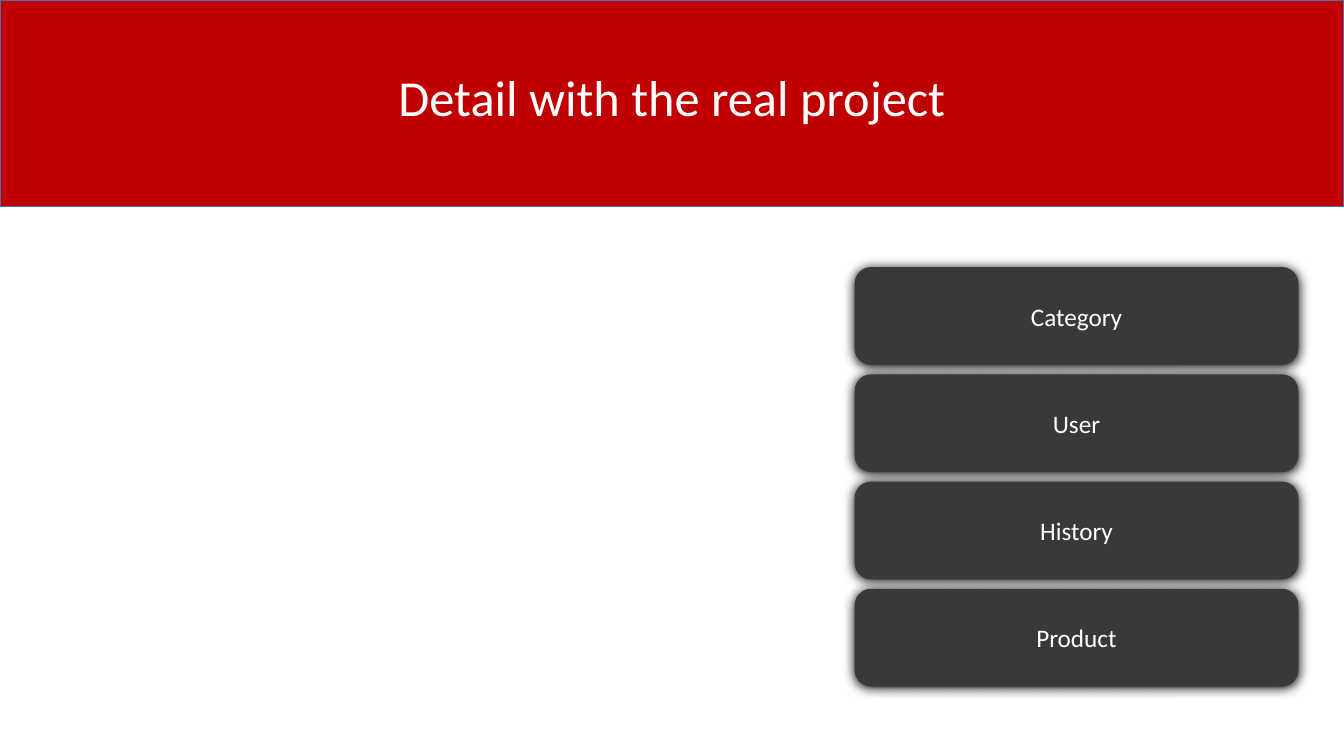
from dataclasses import dataclass

from lxml.etree import SubElement
from pptx import Presentation
from pptx.dml.color import RGBColor
from pptx.enum.shapes import MSO_SHAPE
from pptx.enum.text import MSO_ANCHOR, MSO_AUTO_SIZE, PP_ALIGN
from pptx.oxml.ns import qn
from pptx.util import Cm, Pt


@dataclass(frozen=True)
class Theme:
    font: str = "Calibri"
    band: str = "C00000"
    band_line: str = "43739E"
    button: str = "3B3838"
    shadow: str = "000000"
    text: str = "FFFFFF"
    title_size: int = 36
    button_size: int = 18


@dataclass(frozen=True)
class Box:
    """Region of the slide, in centimetres."""
    left: float
    top: float
    width: float
    height: float

    def lengths(self):
        return Cm(self.left), Cm(self.top), Cm(self.width), Cm(self.height)


THEME = Theme()
TITLE_ONLY_LAYOUT = 5


def write_text(shape, text, *, size, color=THEME.text, wrap=True):
    frame = shape.text_frame
    frame.auto_size = MSO_AUTO_SIZE.NONE
    frame.word_wrap = wrap
    frame.vertical_anchor = MSO_ANCHOR.MIDDLE
    paragraph = frame.paragraphs[0]
    paragraph.alignment = PP_ALIGN.CENTER
    run = paragraph.add_run()
    run.text = text
    run.font.name = THEME.font
    run.font.size = Pt(size)
    run.font.color.rgb = RGBColor.from_string(color)


def add_filled_shape(slide, kind, box, fill, line=None):
    shape = slide.shapes.add_shape(kind, *box.lengths())
    shape.shadow.inherit = False
    shape.fill.solid()
    shape.fill.fore_color.rgb = RGBColor.from_string(fill)
    if line:
        shape.line.color.rgb = RGBColor.from_string(line)
        shape.line.width = Pt(1)
    else:
        shape.line.fill.background()
    return shape


def add_soft_shadow(shape):
    effects = shape.element.spPr.find(qn("a:effectLst"))
    shadow = SubElement(effects, qn("a:outerShdw"), blurRad=str(Pt(8.5)),
                        dist=str(Pt(1)), dir="5400000", rotWithShape="0")
    SubElement(shadow, qn("a:srgbClr"), val=THEME.shadow)


def add_title_band(slide, box, text):
    add_filled_shape(slide, MSO_SHAPE.RECTANGLE, box, THEME.band, THEME.band_line)
    # Title, brought in front of the band and centred across it
    title = slide.shapes.title
    slide.shapes.element.append(title.element)
    width, height = 14.4, 1.8
    title_box = Box(box.left + (box.width - width) / 2, box.top + 1.53, width, height)
    title.left, title.top, title.width, title.height = title_box.lengths()
    write_text(title, text, size=THEME.title_size, wrap=False)


def add_button_column(slide, box, labels, gap=0.24):
    height = (box.height - gap * (len(labels) - 1)) / len(labels)
    for index, label in enumerate(labels):
        button_box = Box(box.left, box.top + index * (height + gap), box.width, height)
        button = add_filled_shape(slide, MSO_SHAPE.ROUNDED_RECTANGLE, button_box, THEME.button)
        add_soft_shadow(button)
        write_text(button, label, size=THEME.button_size)


def main():
    presentation = Presentation()
    presentation.slide_width = Cm(33.87)
    presentation.slide_height = Cm(19.05)
    slide = presentation.slides.add_slide(presentation.slide_layouts[TITLE_ONLY_LAYOUT])

    # Header
    add_title_band(slide, Box(0, 0, 33.87, 5.21), "Detail with the real project")
    # Parts of the project
    add_button_column(slide, Box(21.54, 6.73, 11.18, 10.57),
                      ["Category", "User", "History", "Product"])

    presentation.save("out.pptx")


if __name__ == "__main__":
    main()
